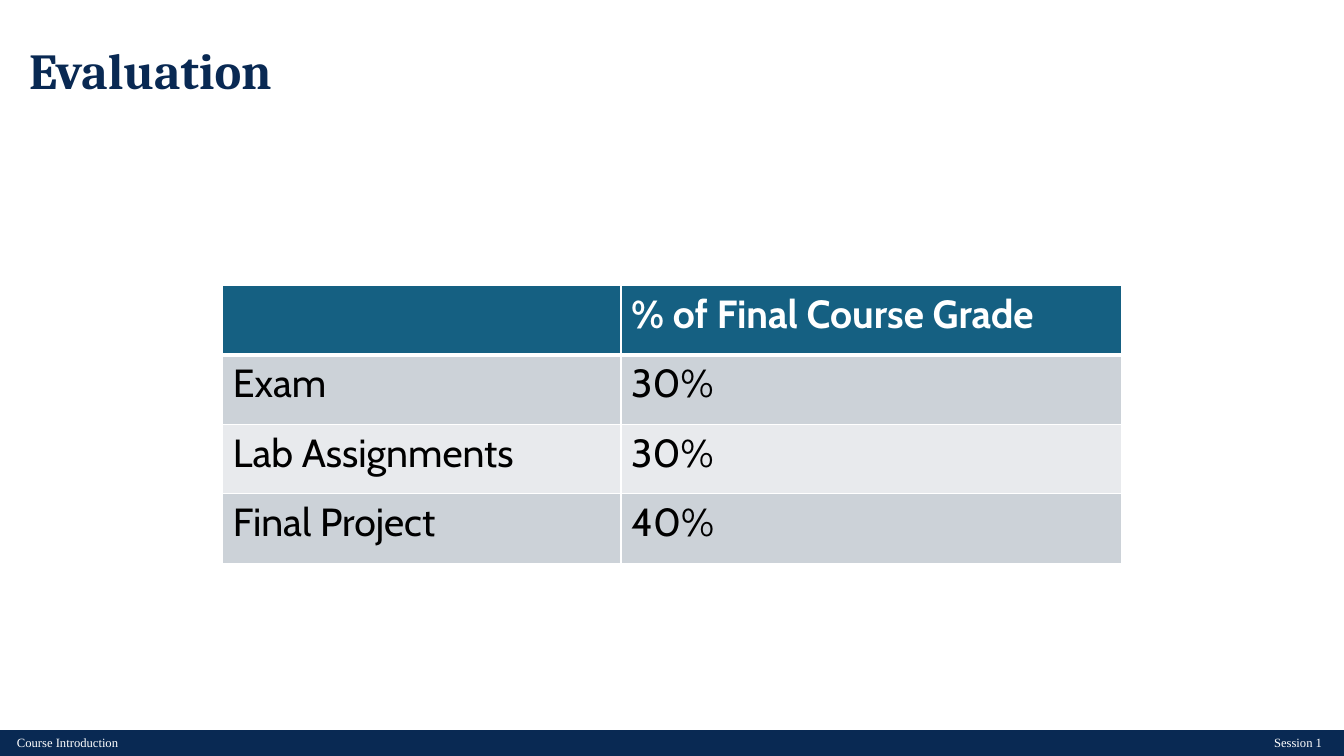
from dataclasses import dataclass

from lxml.etree import SubElement
from pptx import Presentation
from pptx.dml.color import RGBColor
from pptx.enum.shapes import MSO_SHAPE
from pptx.enum.text import MSO_ANCHOR, PP_ALIGN
from pptx.oxml.ns import qn
from pptx.util import Inches, Pt

# Content
HEADING = "Evaluation"
GRADES = [
    ("", "% of Final Course Grade"),
    ("Exam", "30%"),
    ("Lab Assignments", "30%"),
    ("Final Project", "40%"),
]
FOOTER = [
    ("Course Introduction", 0.07, PP_ALIGN.LEFT),
    ("Session 1", 5.77, PP_ALIGN.RIGHT),
]


@dataclass(frozen=True)
class Theme:
    navy: str = "092953"
    teal: str = "156082"
    bands: tuple = ("CCD2D8", "E8EAED")
    white: str = "FFFFFF"
    black: str = "000000"
    heading_font: str = "Cambria"
    table_font: str = "Cabin"
    footer_font: str = "Times New Roman"
    heading_size: int = 36
    table_size: int = 28
    footer_size: int = 9


THEME = Theme()

# Layout in inches
WIDTH, HEIGHT = 13.33, 7.5
BAR_HEIGHT = HEIGHT / 30
FOOTER_WIDTH = 7.44
TABLE_LEFT, TABLE_TOP = 2.21, 2.83
COLUMNS = (3.95, 4.96)
ROW_HEIGHT = 0.69


def write(frame, text, *, font, size, color, bold=False,
          align=PP_ALIGN.LEFT, anchor=MSO_ANCHOR.TOP, spacing=None):
    frame.word_wrap = True
    frame.vertical_anchor = anchor
    paragraph = frame.paragraphs[0]
    paragraph.alignment = align
    paragraph.line_spacing = spacing
    if text:
        paragraph.add_run().text = text
    for style in [paragraph.font] + [run.font for run in paragraph.runs]:
        style.name, style.size, style.bold = font, Pt(size), bold
        style.color.rgb = RGBColor.from_string(color)


def add_text(slide, box, text, **style):
    frame = slide.shapes.add_textbox(*map(Inches, box)).text_frame
    write(frame, text, **style)


def fill_cell(cell, color, edges):
    """Set the borders, which must come before the fill, then the fill."""
    properties = cell._tc.get_or_add_tcPr()
    for side, points in edges.items():
        line = SubElement(properties, qn(f"a:ln{side}"), w=str(Pt(points)))
        solid = SubElement(line, qn("a:solidFill"))
        SubElement(solid, qn("a:srgbClr"), val=THEME.white)
    cell.fill.solid()
    cell.fill.fore_color.rgb = RGBColor.from_string(color)


def add_footer(slide):
    bar = slide.shapes.add_shape(
        MSO_SHAPE.RECTANGLE, 0, Inches(HEIGHT - BAR_HEIGHT),
        Inches(WIDTH), Inches(BAR_HEIGHT))
    bar.shadow.inherit = False
    bar.fill.solid()
    bar.fill.fore_color.rgb = RGBColor.from_string(THEME.navy)
    bar.line.color.rgb = RGBColor.from_string(THEME.navy)
    bar.line.width = Pt(1.5)
    for label, left, align in FOOTER:
        add_text(slide, (left, 7.24, FOOTER_WIDTH, BAR_HEIGHT), label,
                 font=THEME.footer_font, size=THEME.footer_size,
                 color=THEME.white, align=align)


def add_grades(slide):
    grades = slide.shapes.add_table(
        len(GRADES), len(COLUMNS), Inches(TABLE_LEFT), Inches(TABLE_TOP),
        Inches(sum(COLUMNS)), Inches(ROW_HEIGHT * len(GRADES))).table
    for column, width in zip(grades.columns, COLUMNS):
        column.width = Inches(width)
    for r, entries in enumerate(GRADES):
        grades.rows[r].height = Inches(ROW_HEIGHT)
        header = r == 0
        fill = THEME.teal if header else THEME.bands[(r - 1) % 2]
        edges = {"L": 1, "R": 1, "T": 3 if r == 1 else 1, "B": 3 if header else 1}
        for c, entry in enumerate(entries):
            cell = grades.cell(r, c)
            write(cell.text_frame, entry, font=THEME.table_font,
                  size=THEME.table_size, bold=header,
                  color=THEME.white if header else THEME.black)
            fill_cell(cell, fill, edges)


def main():
    deck = Presentation()
    deck.slide_width, deck.slide_height = Inches(WIDTH), Inches(HEIGHT)
    slide = deck.slides.add_slide(deck.slide_layouts[6])
    add_text(slide, (0.19, 0, 11.5, 1.45), HEADING,
             font=THEME.heading_font, size=THEME.heading_size,
             color=THEME.navy, bold=True, anchor=MSO_ANCHOR.MIDDLE, spacing=0.9)
    add_footer(slide)
    add_grades(slide)
    deck.save("out.pptx")


if __name__ == "__main__":
    main()
